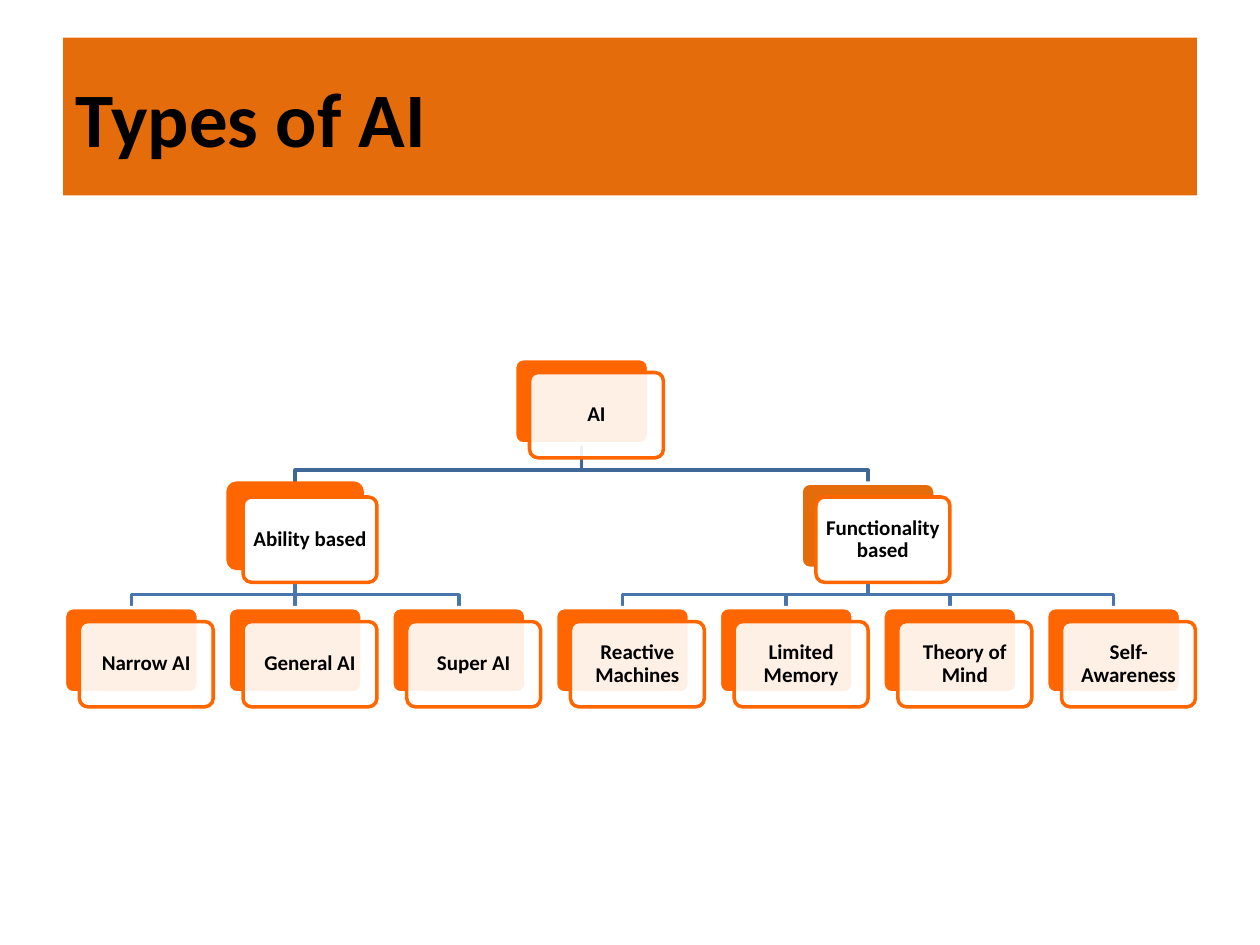
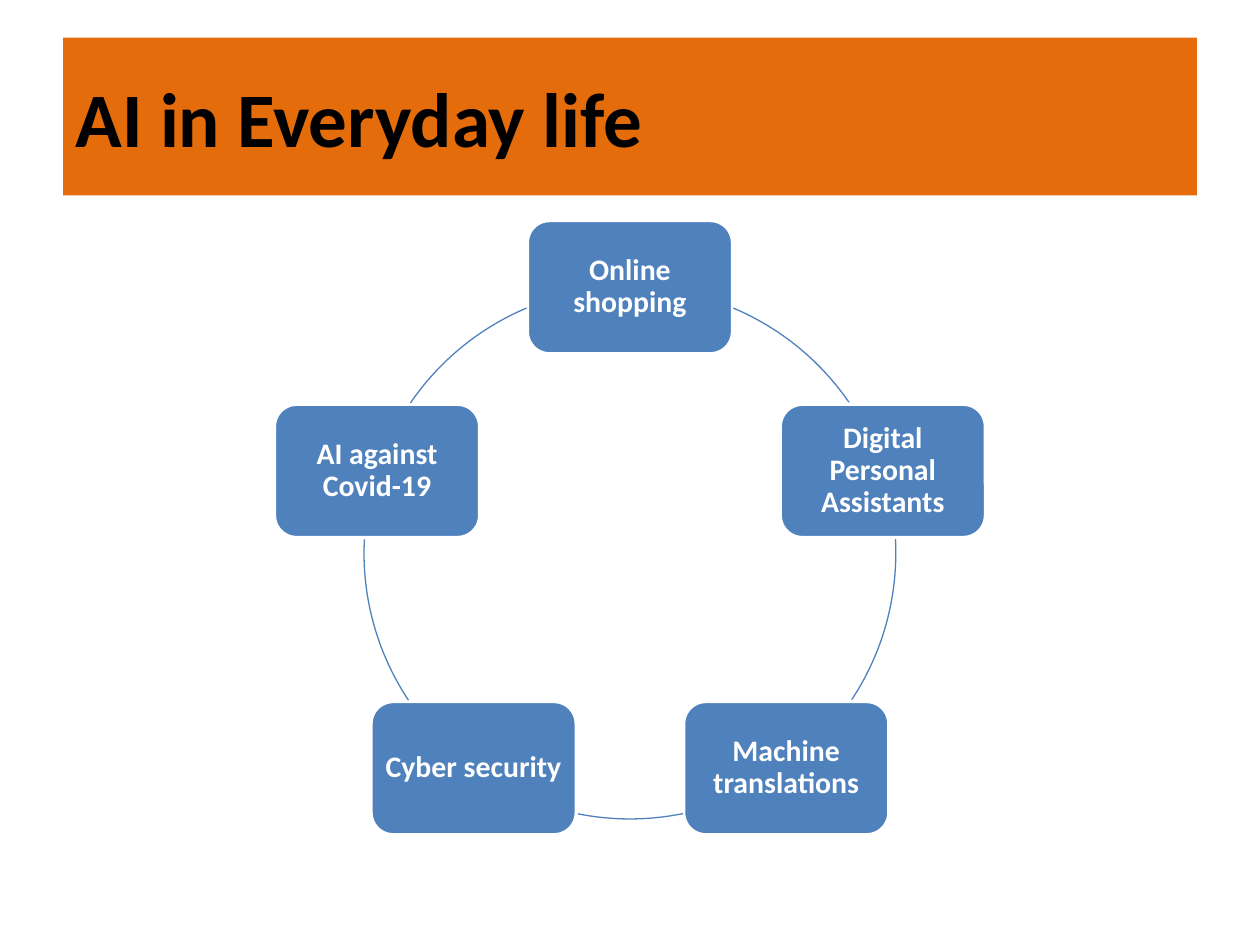
import math
from dataclasses import dataclass
from typing import NamedTuple, Optional

import pptx
import pptx.dml.color
import pptx.enum.shapes
import pptx.enum.text
import pptx.oxml
import pptx.oxml.ns
import pptx.util

Cm = pptx.util.Cm
Pt = pptx.util.Pt
RGB = pptx.dml.color.RGBColor
SHAPE = pptx.enum.shapes.MSO_SHAPE
ALIGN = pptx.enum.text.PP_ALIGN
MIDDLE = pptx.enum.text.MSO_ANCHOR.MIDDLE

# Shared look
FONT = "Calibri"
BLACK = RGB(0x00, 0x00, 0x00)
WHITE = RGB(0xFF, 0xFF, 0xFF)
RUST = RGB(0xE4, 0x6C, 0x0A)
ORANGE = RGB(0xFF, 0x66, 0x00)
BLUE = RGB(0x4F, 0x81, 0xBD)
NAVY = RGB(0x3F, 0x67, 0x97)
STEEL = RGB(0x48, 0x75, 0xAC)

# Tree grid, in centimetres
CARD_W, CARD_H = 2.7, 1.72
TREE_X, TREE_Y = 1.3, 7.23
SLOT, ROW = 3.3, 2.51
SHIFT_X, SHIFT_Y = 0.3, 0.28
BEND = 0.53

# Ring, in centimetres
MID_X, MID_Y, RADIUS = 12.7, 11.15, 5.36
STEP_W, STEP_H = 4.14, 2.69


@dataclass(frozen=True)
class Card:
    text: str
    slot: float
    row: int
    boss: Optional[int] = None
    back: RGB = ORANGE
    edge: RGB = WHITE
    alpha: int = 90

    @property
    def left(self) -> float:
        return TREE_X + self.slot * SLOT

    @property
    def top(self) -> float:
        return TREE_Y + self.row * ROW

    @property
    def mid(self) -> float:
        return self.left + CARD_W / 2


class Step(NamedTuple):
    text: str
    start: float  # arc that follows the box, in degrees clockwise
    end: float


CARDS = [
    Card("AI", 2.75, 0),
    Card("Ability based", 1, 1, 0, edge=ORANGE, alpha=100),
    Card("Functionality based", 4.5, 1, 0, back=RUST, alpha=100),
    Card("Narrow AI", 0, 2, 1),
    Card("General AI", 1, 2, 1),
    Card("Super AI", 2, 2, 1),
    Card("Reactive Machines", 3, 2, 2),
    Card("Limited Memory", 4, 2, 2),
    Card("Theory of Mind", 5, 2, 2),
    Card("Self-Awareness", 6, 2, 2),
]

STEPS = [
    Step("Online shopping", 292.9, 325.6),
    Step("Digital Personal Assistants", 357, 33.6),
    Step("Machine translations", 78.5, 101.5),
    Step("Cyber security", 146.4, 183),
    Step("AI against Covid-19", 214.4, 247.1),
]


def add_slide(deck, text: str):
    """Add a slide with its title band."""
    slide = deck.slides.add_slide(deck.slide_layouts[5])
    title = slide.shapes.title
    title.left, title.top = Cm(1.27), Cm(0.76)
    title.width, title.height = Cm(22.86), Cm(3.18)
    title.fill.solid()
    title.fill.fore_color.rgb = RUST
    title.text_frame.vertical_anchor = MIDDLE
    write(title, text, 44, BLACK, ALIGN.LEFT)
    return slide


def write(shape, text: str, size: float, color: RGB, align) -> None:
    para = shape.text_frame.paragraphs[0]
    para.text = text
    para.alignment = align
    para.font.name = FONT
    para.font.size = Pt(size)
    para.font.bold = True
    para.font.color.rgb = color


def stroke(shape, color: RGB, width: float) -> None:
    shape.line.color.rgb = color
    shape.line.width = Pt(width)


def add_box(slide, left: float, top: float, width: float, height: float,
            fill: RGB, edge: RGB):
    """Add a rounded box without a shadow."""
    box = slide.shapes.add_shape(SHAPE.ROUNDED_RECTANGLE, Cm(left), Cm(top),
                                 Cm(width), Cm(height))
    box.shadow.inherit = False
    box.fill.solid()
    box.fill.fore_color.rgb = fill
    stroke(box, edge, 2)
    return box


def label(box, text: str, size: float, color: RGB, inset: float) -> None:
    frame = box.text_frame
    frame.word_wrap = True
    frame.vertical_anchor = MIDDLE
    frame.margin_left = frame.margin_right = Cm(inset)
    frame.margin_top = frame.margin_bottom = Cm(inset)
    write(box, text, size, color, ALIGN.CENTER)
    frame.paragraphs[0].line_spacing = 0.9


def add_card(slide, card: Card):
    """Add a back box and a shifted front box; return the back one."""
    back = add_box(slide, card.left, card.top, CARD_W, CARD_H,
                   card.back, card.edge)
    front = add_box(slide, card.left + SHIFT_X, card.top + SHIFT_Y,
                    CARD_W, CARD_H, WHITE, ORANGE)
    back.adjustments[0] = front.adjustments[0] = 0.1
    if card.alpha < 100:
        tint = front._element.spPr.find(".//" + pptx.oxml.ns.qn("a:srgbClr"))
        alpha = pptx.oxml.parse_xml(
            f'<a:alpha {pptx.oxml.ns.nsdecls("a")} val="{card.alpha * 1000}"/>')
        tint.append(alpha)
    label(front, card.text, 12, BLACK, 0.08)
    return back


def add_link(slide, boss: Card, card: Card, upper, lower) -> None:
    """Join two cards with a line that lies behind all the boxes."""
    color = NAVY if boss.row == 0 else STEEL
    foot = boss.top + CARD_H
    if boss.slot == card.slot:
        link = slide.shapes.add_connector(
            pptx.enum.shapes.MSO_CONNECTOR.STRAIGHT, 0, 0, 0, 0)
        link.begin_connect(upper, 2)
        link.end_connect(lower, 0)
        stroke(link, color, 2)
        link._element.spPr.append(pptx.oxml.parse_xml(
            f'<a:effectLst {pptx.oxml.ns.nsdecls("a")}/>'))
    else:
        pen = slide.shapes.build_freeform(Cm(boss.mid), Cm(foot))
        turns = [(boss.mid, foot + BEND), (card.mid, foot + BEND),
                 (card.mid, card.top)]
        pen.add_line_segments([(Cm(x), Cm(y)) for x, y in turns], close=False)
        link = pen.convert_to_shape()
        link.fill.background()
        link.shadow.inherit = False
        stroke(link, color, 2)
    title = slide.shapes.title._element
    title.addnext(link._element)


def add_arc(slide, step: Step) -> None:
    """Add the part of the ring between two boxes."""
    arc = slide.shapes.add_shape(SHAPE.ARC, Cm(MID_X - RADIUS),
                                 Cm(MID_Y - RADIUS), Cm(2 * RADIUS),
                                 Cm(2 * RADIUS))
    # Angles are stored in 60000ths of a degree, scaled by 100000
    arc.adjustments[0] = step.start * 0.6
    arc.adjustments[1] = step.end * 0.6
    arc.fill.background()
    arc.shadow.inherit = False
    stroke(arc, BLUE, 0.75)


def draw_tree(deck) -> None:
    slide = add_slide(deck, "Types of AI")
    backs = [add_card(slide, card) for card in CARDS]
    for card, back in zip(CARDS, backs):
        if card.boss is not None:
            add_link(slide, CARDS[card.boss], card, backs[card.boss], back)


def draw_ring(deck) -> None:
    slide = add_slide(deck, "AI in Everyday life")
    for num, step in enumerate(STEPS):
        turn = math.tau * num / len(STEPS)
        left = MID_X + RADIUS * math.sin(turn) - STEP_W / 2
        top = MID_Y - RADIUS * math.cos(turn) - STEP_H / 2
        box = add_box(slide, left, top, STEP_W, STEP_H, BLUE, WHITE)
        label(box, step.text, 17, WHITE, 0.05)
        add_arc(slide, step)


def main() -> None:
    deck = pptx.Presentation()
    deck.slide_width, deck.slide_height = Cm(25.4), Cm(19.05)
    draw_tree(deck)
    draw_ring(deck)
    deck.save("out.pptx")


if __name__ == "__main__":
    main()
